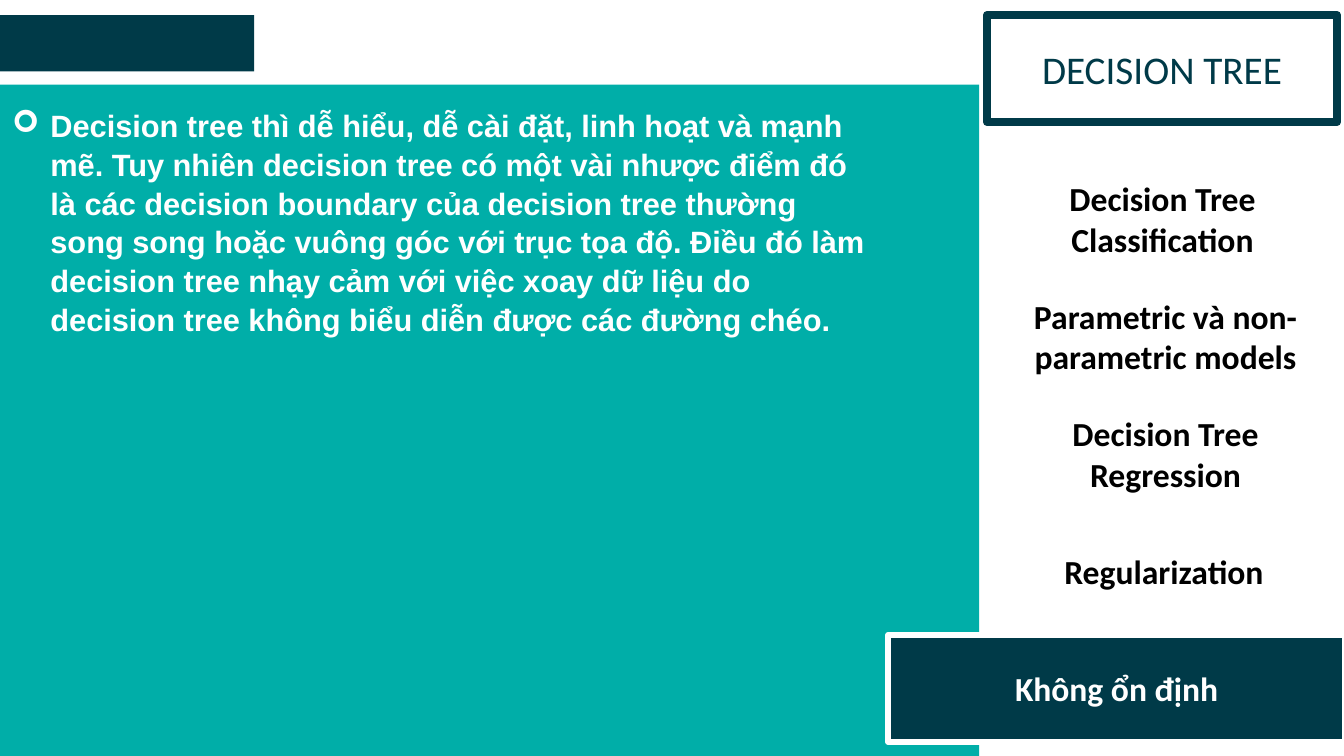
from lxml import etree
from pptx import Presentation
from pptx.dml.color import RGBColor
from pptx.enum.shapes import MSO_SHAPE
from pptx.enum.text import MSO_ANCHOR, MSO_AUTO_SIZE, PP_ALIGN
from pptx.oxml.ns import qn
from pptx.util import Inches, Pt

RECTANGLE = MSO_SHAPE.RECTANGLE
MIDDLE, TOP = MSO_ANCHOR.MIDDLE, MSO_ANCHOR.TOP
NO_AUTOFIT = MSO_AUTO_SIZE.NONE
LEFT, CENTER = PP_ALIGN.LEFT, PP_ALIGN.CENTER

TEAL = RGBColor(0x00, 0xAE, 0xA8)
NAVY = RGBColor(0x00, 0x3A, 0x48)
WHITE = RGBColor(0xFF, 0xFF, 0xFF)
BLACK = RGBColor(0x00, 0x00, 0x00)

TITLE = "DECISION TREE"
TOPICS = [
    ("Decision Tree Classification", 9.76, 3.54),
    ("Parametric và non-parametric models", 9.79, 3.54),
    ("Decision Tree Regression", 9.79, 3.54),
    ("Regularization", 9.76, 3.57),
]
CURRENT_TOPIC = "Không ổn định"
EXPLANATION = (
    "Decision tree thì dễ hiểu, dễ cài đặt, linh hoạt và mạnh mẽ. "
    "Tuy nhiên decision tree có một vài nhược điểm đó là các decision boundary "
    "của decision tree thường song song hoặc vuông góc với trục tọa độ. "
    "Điều đó làm decision tree nhạy cảm với việc xoay dữ liệu do decision tree "
    "không biểu diễn được các đường chéo."
)


def place(shape, left, top, width, height):
    shape.left, shape.top = Inches(left), Inches(top)
    shape.width, shape.height = Inches(width), Inches(height)


def paint(shape, fill=None, line=None, line_width=4.5):
    if fill is None:
        shape.fill.background()
    else:
        shape.fill.solid()
        shape.fill.fore_color.rgb = fill
    if line is None:
        shape.line.fill.background()
    else:
        shape.line.color.rgb = line
        shape.line.width = Pt(line_width)


def add_rectangle(slide, box, **colors):
    shape = slide.shapes.add_shape(RECTANGLE, *(Inches(length) for length in box))
    shape.shadow.inherit = False
    paint(shape, **colors)
    return shape


def write(shape, text, size=24, font="Calibri", color=BLACK, bold=True,
          align=CENTER, anchor=MIDDLE):
    frame = shape.text_frame
    frame.word_wrap = True
    frame.auto_size = NO_AUTOFIT
    frame.vertical_anchor = anchor
    para = frame.paragraphs[0]
    para.alignment = align
    span = para.add_run()
    span.text = text
    span.font.size = Pt(size)
    span.font.name = font
    span.font.color.rgb = color
    span.font.bold = bold
    return para


def add_bullet(para, symbol, margin, indent):
    properties = para._p.get_or_add_pPr()
    properties.set("marL", str(Inches(margin)))
    properties.set("indent", str(Inches(indent)))
    etree.SubElement(properties, qn("a:buFont")).set("typeface", "Wingdings")
    etree.SubElement(properties, qn("a:buChar")).set("char", symbol)


def build_content(slide, left, top, width, height):
    panel = add_rectangle(slide, (left, top, width, height), fill=TEAL)
    body = slide.placeholders[1]
    body.element.addprevious(panel.element)
    place(body, left - 0.47, top + 0.15, width - 0.5, 2.32)
    para = write(body, EXPLANATION, size=22, font="Arial", color=WHITE,
                 align=LEFT, anchor=TOP)
    para.level = 1
    para.line_spacing = 1.05
    para.space_before = Pt(0)
    add_bullet(para, "➢", 0.88, -0.38)


def build_title(slide, left, top, width, height):
    title = slide.shapes.title
    place(title, left, top, width, height)
    paint(title, fill=WHITE, line=NAVY, line_width=6)
    write(title, TITLE, size=28, color=NAVY, bold=False)


def build_topics(slide, top, height, pitch):
    for row, (topic, left, width) in enumerate(TOPICS):
        box = (left, top + row * pitch, width, height)
        write(add_rectangle(slide, box, line=WHITE), topic)
    box = (8.81, top + len(TOPICS) * pitch, 4.53, height)
    current = add_rectangle(slide, box, fill=NAVY, line=WHITE)
    write(current, CURRENT_TOPIC, color=WHITE)


def main():
    deck = Presentation()
    deck.slide_width, deck.slide_height = Inches(13.33), Inches(7.5)
    slide = deck.slides.add_slide(deck.slide_layouts[1])
    build_content(slide, -0.01, 0.84, 9.72, 6.66)
    build_title(slide, 9.79, 0.15, 3.47, 1.06)
    add_rectangle(slide, (0, 0.15, 2.52, 0.56), fill=NAVY)
    build_topics(slide, 1.64, 1.06, 1.165)
    deck.save("out.pptx")


if __name__ == "__main__":
    main()
